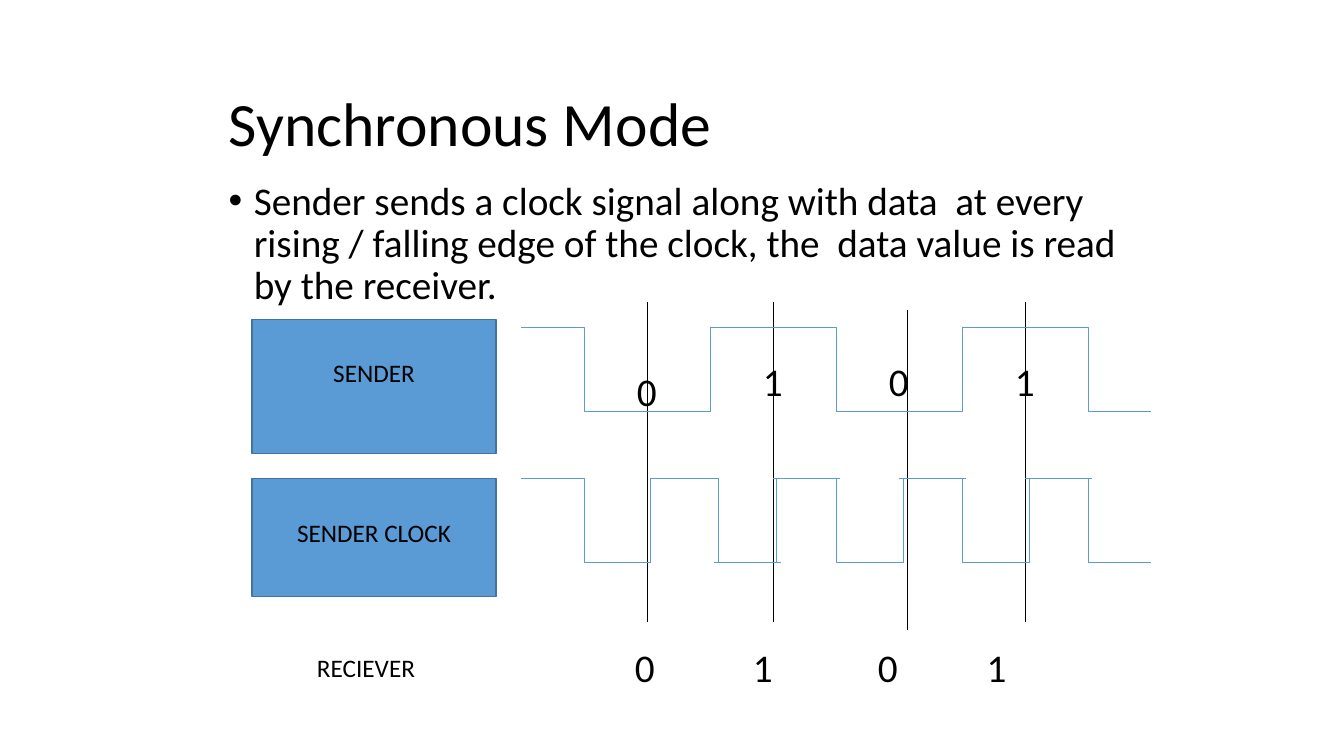
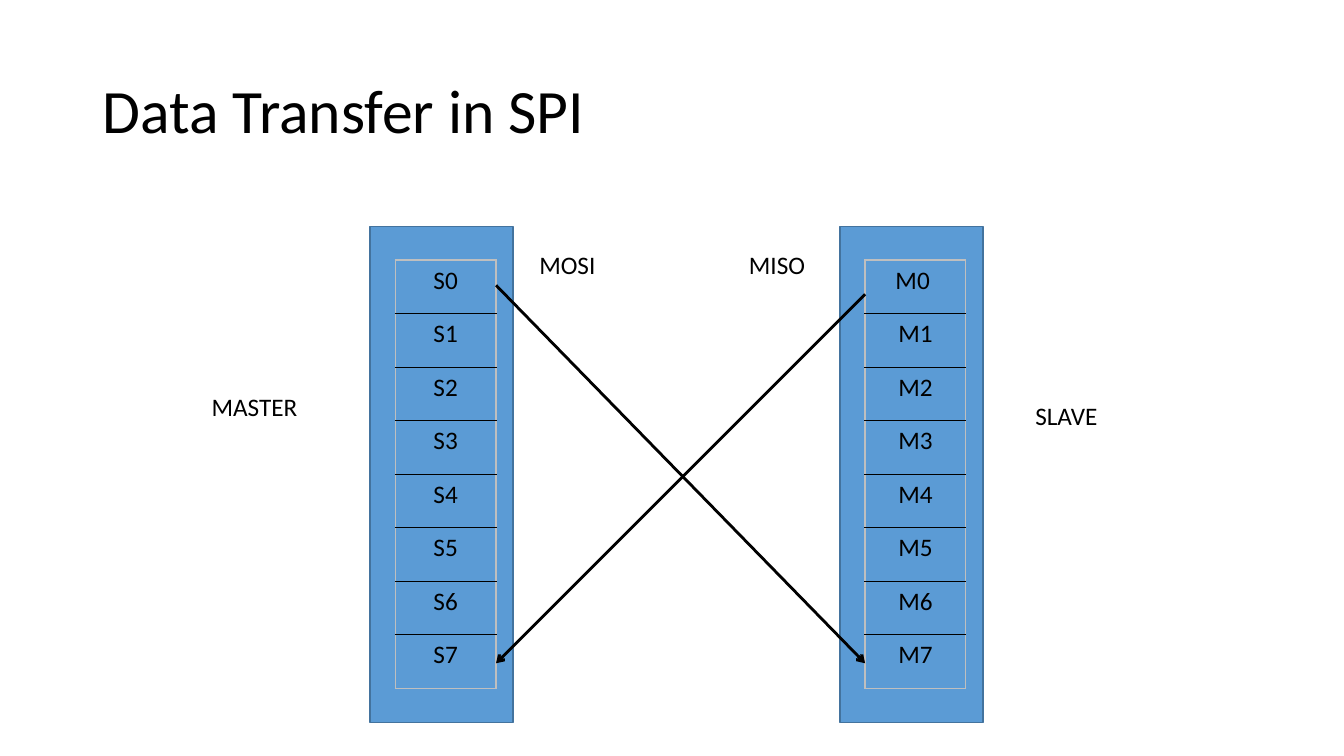
from lxml import etree
from pptx import Presentation
from pptx import util as u
from pptx.dml.color import RGBColor
from pptx.enum import shapes, text
from pptx.oxml.ns import qn

BLACK, BLUE, EDGE, GREY = "000000", "5B9BD5", "43739E", "BFBFBF"
FONT = "Calibri"
CENTER = text.PP_ALIGN.CENTER


def rgb(value):
    return RGBColor.from_string(value)


def write(tf, content, size=18, color=BLACK, align=None, spacing=None):
    """Put one formatted paragraph into a text frame."""
    p = tf.paragraphs[0]
    p.alignment = align
    p.line_spacing = spacing
    r = p.add_run()
    r.text = content
    r.font.name, r.font.size = FONT, u.Pt(size)
    r.font.color.rgb = rgb(color)
    return p


class Deck:
    """Shared style and the current slide."""

    def __init__(self):
        self.prs = Presentation()
        self.prs.slide_width = u.Inches(13.33)
        self.prs.slide_height = u.Inches(7.5)
        self.s = None

    def slide(self, title, *box):
        self.s = self.prs.slides.add_slide(self.prs.slide_layouts[6])
        self.text(title, *box, anchor=text.MSO_ANCHOR.MIDDLE, size=44, spacing=0.9)

    def text(self, content, x, y, w, h, anchor=text.MSO_ANCHOR.TOP, **fmt):
        tf = self.s.shapes.add_textbox(*map(u.Inches, (x, y, w, h))).text_frame
        tf.word_wrap = True
        tf.vertical_anchor = anchor
        return write(tf, content, **fmt)

    def bullet(self, content, *box):
        p = self.text(content, *box, size=28, spacing=0.9)
        p.space_before = u.Pt(10)
        pPr = p._p.get_or_add_pPr()
        pPr.set("marL", str(u.Inches(0.25)))
        pPr.set("indent", str(-u.Inches(0.25)))
        etree.SubElement(pPr, qn("a:buFont"), typeface="Arial")
        etree.SubElement(pPr, qn("a:buChar"), char="•")

    def box(self, x, y, w, h):
        sp = self.s.shapes.add_shape(shapes.MSO_SHAPE.RECTANGLE,
                                     *map(u.Inches, (x, y, w, h)))
        sp.shadow.inherit = False
        sp.fill.solid()
        sp.fill.fore_color.rgb = rgb(BLUE)
        sp.line.color.rgb = rgb(EDGE)
        sp.line.width = u.Pt(1)

    def line(self, x1, y1, x2, y2, color=BLACK, width=1, elbow=False, arrow=False):
        kind = shapes.MSO_CONNECTOR.ELBOW if elbow else shapes.MSO_CONNECTOR.STRAIGHT
        cn = self.s.shapes.add_connector(kind, *map(u.Inches, (x1, y1, x2, y2)))
        cn.line.color.rgb = rgb(color)
        cn.line.width = u.Pt(width)
        if arrow:
            etree.SubElement(cn.line._get_or_add_ln(), qn("a:tailEnd"), type="arrow")
        etree.SubElement(cn._element.spPr, qn("a:effectLst"))

    def step(self, x, top, falling):
        """One signal edge, half a bit either side."""
        y1, y2 = (top, top + 0.83) if falling else (top + 0.83, top)
        self.line(x, y1, x + 1.25, y2, color=BLUE, width=0.5, elbow=True)

    def column(self, labels, x, y, w, h):
        """A one-column table with black rules and a grey frame."""
        n = len(labels)
        tbl = self.s.shapes.add_table(n, 1, *map(u.Inches, (x, y, w, h))).table
        tbl.first_row = tbl.horz_banding = False
        for i, label in enumerate(labels):
            tbl.rows[i].height = u.Inches(h / n)
            cell = tbl.cell(i, 0)
            cell.fill.background()
            write(cell.text_frame, label, align=CENTER)
            borders = {"L": GREY, "R": GREY, "T": BLACK if i else GREY,
                       "B": BLACK if i < n - 1 else GREY}
            for k, (side, color) in enumerate(borders.items()):
                ln = etree.Element(qn("a:ln" + side), w=str(u.Pt(1)))
                fill = etree.SubElement(ln, qn("a:solidFill"))
                etree.SubElement(fill, qn("a:srgbClr"), val=color)
                cell._tc.get_or_add_tcPr().insert(k, ln)


def synchronous_mode(deck):
    deck.slide("Synchronous Mode", 2.17, 0.77, 9, 0.98)
    deck.bullet("Sender sends a clock signal along with data  at every rising / falling "
                "edge of the clock, the  data value is read by the receiver.",
                2.17, 1.75, 9, 5.17)

    # Sender blocks and receiver label
    for label, y, h in (("SENDER", 3.17, 1.33), ("SENDER CLOCK", 4.75, 1.17)):
        deck.box(2.5, y, 2.42, h)
        deck.text(label, 2.5, y + 0.33, 2.42, 0.42, align=CENTER)
    deck.text("RECIEVER", 2.42, 6.42, 2.42, 0.42, align=CENTER)

    # Sampling lines
    for x, y in ((6.42, 3), (7.67, 3), (9, 3.08), (10.17, 3)):
        deck.line(x, y + 3.17, x, y)

    # Data and clock signals
    for i in range(5):
        deck.step(5.17 + 1.25 * i, 3.25, falling=i % 2 == 0)
    for x in (5.17, 6.5, 7.67, 8.92, 10.17):
        deck.step(x, 4.75, falling=True)
    for i in range(4):
        deck.step(5.83 + 1.25 * i, 4.75, falling=False)

    # Sent and received bits
    received = (5.81, 6.98, 8.22, 9.3)
    for i, (bit, x) in enumerate(zip("0101", received)):
        deck.text(bit, 5.83 + 1.25 * i, 3.5 if i else 3.59, 1.17, 0.57,
                  size=28, align=CENTER)
        deck.text(bit, x, 6.33, 1.17, 0.57, size=28, align=CENTER)


def data_transfer(deck):
    deck.slide("Data Transfer in SPI", 0.92, 0.4, 11.5, 1.45)

    # Shift registers
    for x in (3.67, 8.33):
        deck.box(x, 2.25, 1.42, 4.92)
    deck.column([f"S{i}" for i in range(8)], 3.92, 2.58, 1, 4.25)
    deck.column(["M0 "] + [f"M{i}" for i in range(1, 8)], 8.58, 2.58, 1, 4.25)

    # Device and wire labels
    for label, x, y in (("MASTER", 2, 3.83), ("SLAVE", 10.17, 3.92),
                        ("MOSI", 5.25, 2.42), ("MISO", 7.33, 2.42)):
        deck.text(label, x, y, 1.25, 0.4)

    # Crossing data wires
    deck.line(4.92, 2.83, 8.58, 6.58, width=2, arrow=True)
    deck.line(8.58, 2.92, 4.92, 6.58, width=2, arrow=True)


def main():
    deck = Deck()
    synchronous_mode(deck)
    data_transfer(deck)
    deck.prs.save("out.pptx")


if __name__ == "__main__":
    main()
